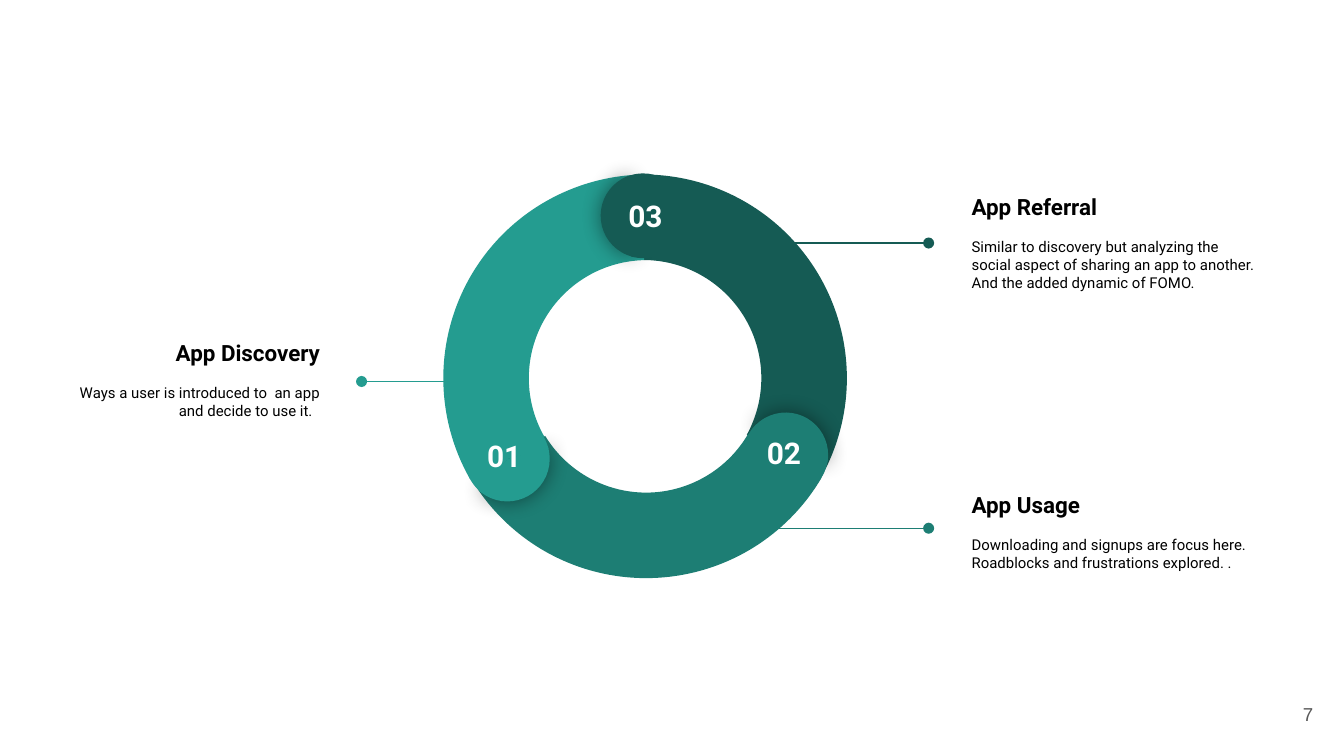
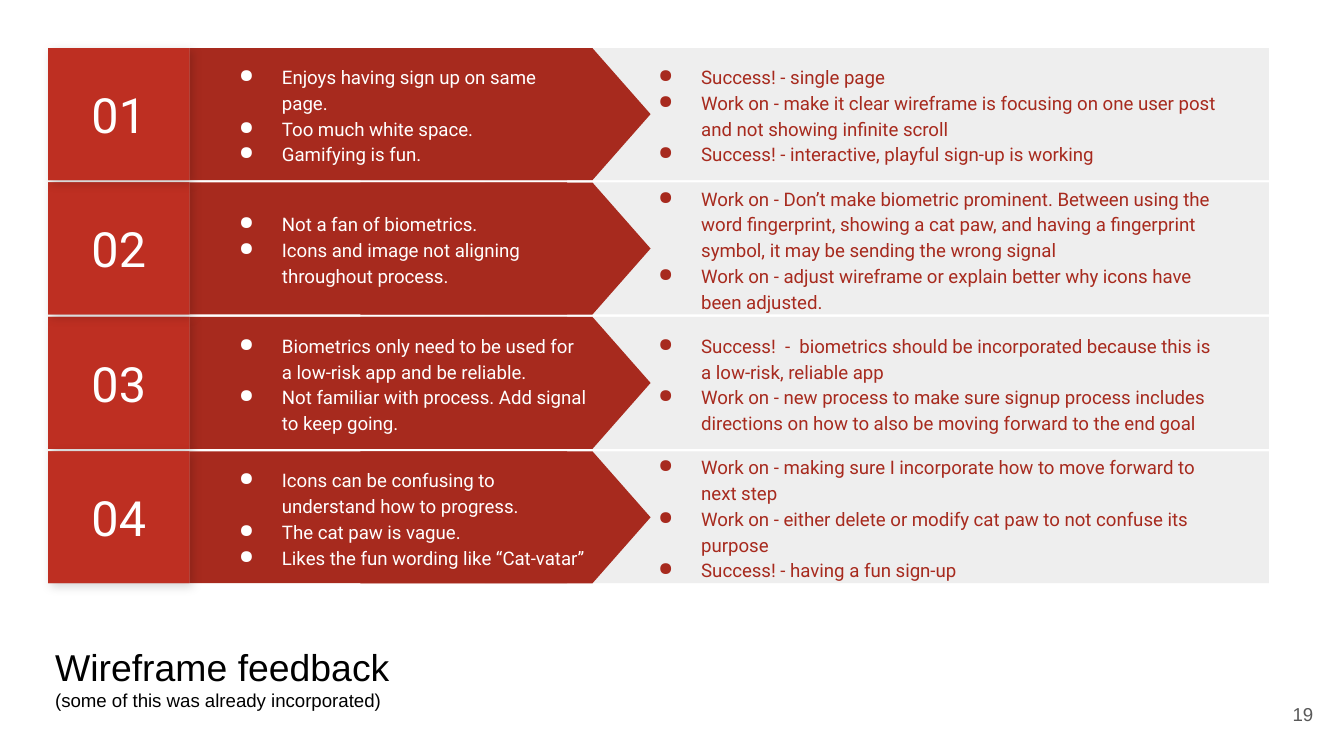
from lxml import etree
from pptx import Presentation
from pptx.dml.color import RGBColor
from pptx.enum.shapes import MSO_CONNECTOR, MSO_SHAPE
from pptx.enum.text import MSO_ANCHOR, MSO_AUTO_SIZE, PP_ALIGN
from pptx.oxml.ns import qn
from pptx.util import Pt

WHITE, BLACK, GREY = "FFFFFF", "000000", "595959"
LIGHT_TEAL, MID_TEAL, DARK_TEAL = "249C90", "1D7E74", "155B54"
RED, DARK_RED, SHADE_RED, PALE = "BE2F22", "A72A1E", "B02C20", "EEEEEE"
LEFT, CENTER, RIGHT = PP_ALIGN.LEFT, PP_ALIGN.CENTER, PP_ALIGN.RIGHT
TOP, MIDDLE = MSO_ANCHOR.TOP, MSO_ANCHOR.MIDDLE
INSET = 7.2

RING_BOX = (235.5, 91.5, 218.2)
CAP_SIZE = 45.4
ARCS = [
    (0, 2, 60, DARK_TEAL),
    (1.5, 0, 180, MID_TEAL),
    (2, 2, 300, LIGHT_TEAL),
]
CAPS = [
    (13.6, 131.7, 240, LIGHT_TEAL),
    (86.3, 1.4, 0, DARK_TEAL),
    (162.7, 129.5, 120, MID_TEAL),
]
STEP_NUMBERS = [("03 ", 92.1, 7.1), ("01 ", 16.5, 136), ("02 ", 166.3, 133.9)]

CALLOUTS = [
    ("App Discovery", "Ways a user is introduced to  an app and decide to use it.  ",
     (23.8, 152.6, 154.8), RIGHT, (244, 193.7, 51.8), LIGHT_TEAL),
    ("App Referral", "Similar to discovery but analyzing the social aspect of sharing "
     "an app to another. And the added dynamic of FOMO.",
     (513.4, 79.2, 167), LEFT, (396, 497.5, 51), DARK_TEAL),
    ("App Usage", "Downloading and signups are focus here. "
     "Roadblocks and frustrations explored. .",
     (513.4, 234, 167), LEFT, (396, 497.5, 49), MID_TEAL),
]

ROW_LEFT, ROW_TOP, ROW_PITCH, ROW_HEIGHT = 25.8, 25.8, 72, 70.7
ROW_DRAW_ORDER = (2, 1, 0, 3)
FEEDBACK = [
    (["Enjoys having sign up on same page.", "Too much white space.", "Gamifying is fun."],
     ["Success! - single page",
      "Work on - make it clear wireframe is focusing on one user post "
      "and not showing infinite scroll",
      "Success! - interactive, playful sign-up is working"]),
    (["Not a fan of biometrics.", "Icons and image not aligning throughout process."],
     ["Work on - Don’t make biometric prominent. Between using the word fingerprint, "
      "showing a cat paw, and having a fingerprint symbol, it may be sending the wrong signal",
      "Work on - adjust wireframe or explain better why icons have been adjusted."]),
    (["Biometrics only need to be used for a low-risk app and be reliable.",
      "Not familiar with process. Add signal to keep going."],
     ["Success!  -  biometrics should be incorporated because this is a low-risk, reliable app",
      "Work on - new process to make sure signup process includes directions "
      "on how to also be moving forward to the end goal"]),
    (["Icons can be confusing to understand how to progress.", "The cat paw is vague.",
      "Likes the fun wording like “Cat-vatar”"],
     ["Work on - making sure I incorporate how to move forward to next step",
      "Work on - either delete or modify cat paw to not confuse its purpose",
      "Success! - having a fun sign-up"]),
]


def rgb(hex_color):
    return RGBColor.from_string(hex_color)


def add_child(parent, tag, **attributes):
    child = etree.SubElement(parent, qn(tag))
    for key, value in attributes.items():
        child.set(key, str(value))
    return child


def add_bullet(paragraph, color):
    properties = paragraph._p.get_or_add_pPr()
    properties.set("marL", str(Pt(36)))
    properties.set("indent", str(Pt(-23)))
    add_child(add_child(properties, "a:buClr"), "a:srgbClr", val=color)
    add_child(properties, "a:buChar", char="●")


def write(shape, lines, anchor=MIDDLE, **shared):
    frame = shape.text_frame
    frame.word_wrap = True
    frame.vertical_anchor = anchor
    frame.margin_left = frame.margin_right = Pt(INSET)
    frame.margin_top = frame.margin_bottom = Pt(INSET)
    for index, line in enumerate(lines):
        text, own = (line, {}) if isinstance(line, str) else line
        style = {"font": "Roboto", "color": BLACK, "align": LEFT, **shared, **own}
        paragraph = frame.paragraphs[0] if index == 0 else frame.add_paragraph()
        paragraph.alignment = style["align"]
        if "spacing" in style:
            paragraph.line_spacing = style["spacing"]
        if "after" in style:
            paragraph.space_after = Pt(style["after"])
        if style.get("bullet"):
            add_bullet(paragraph, style["color"])
        run = paragraph.add_run()
        run.text = text
        run.font.name = style["font"]
        run.font.size = Pt(style["size"])
        run.font.bold = style.get("bold", False)
        run.font.color.rgb = rgb(style["color"])


def add_text(slide, box, lines, **style):
    write(slide.shapes.add_textbox(*map(Pt, box)), lines, **style)


def add_filled(slide, preset, box, color, rotation=0, adjustments=(), shadow=None):
    shape = slide.shapes.add_shape(preset, *map(Pt, box))
    shape.fill.solid()
    shape.fill.fore_color.rgb = rgb(color)
    shape.line.fill.background()
    shape.rotation = rotation
    for index, value in enumerate(adjustments):
        shape.adjustments[index] = value
    shape.shadow.inherit = False
    if shadow:
        opacity, blur, distance, angle = shadow
        effects = shape.element.spPr.find(qn("a:effectLst"))
        outer = add_child(effects, "a:outerShdw", blurRad=Pt(blur), dist=Pt(distance),
                          dir=angle * 60000, algn="bl", rotWithShape=0)
        add_child(add_child(outer, "a:srgbClr", val=BLACK), "a:alpha", val=opacity * 1000)
    return shape


def add_leader(slide, start, end, y, color):
    leader = slide.shapes.add_connector(
        MSO_CONNECTOR.STRAIGHT, Pt(start), Pt(y), Pt(end), Pt(y))
    leader.line.color.rgb = rgb(color)
    leader.line.width = Pt(0.75)
    properties = leader.element.spPr
    add_child(properties.find(qn("a:ln")), "a:tailEnd", type="oval")
    add_child(properties, "a:effectLst")


def add_page_number(slide, number):
    add_text(slide, (667.4, 367.2, 43.2, 31), [number],
             font="Arial", size=10, color=GREY, align=RIGHT)


def add_callout(slide, heading, detail, box, align, leader, color):
    left, top, width = box
    start, end, drop = leader
    add_text(slide, (left, top, width, 101.5),
             [(heading, {"size": 12, "bold": True, "after": 9.4}),
              (detail, {"size": 8, "after": 16})], align=align)
    add_leader(slide, start, end, top + drop, color)


def add_ring(slide, left, top, size):
    for x, y, rotation, color in ARCS:
        add_filled(slide, MSO_SHAPE.BLOCK_ARC, (left + x, top + y, size, size), color,
                   rotation, (126.22, 197.2, 0.21))
    for x, y, rotation, color in CAPS:
        box = (left + x, top + y, CAP_SIZE, CAP_SIZE)
        add_filled(slide, MSO_SHAPE.PIE, box, color, rotation + 0.65, (61.9, 149.96),
                   shadow=(43, 11.2, 0, 0))
        add_filled(slide, MSO_SHAPE.PIE, box, color, (rotation + 180) % 360, (40.28, 171.84))
    for number, x, y in STEP_NUMBERS:
        add_text(slide, (left + x, top + y, 40.3, 20.9), [number], anchor=TOP,
                 size=16, bold=True, color=WHITE, align=CENTER)


def add_feedback_row(slide, left, top, height, number, comments, actions):
    number_box = (left, top, 75.7, height)
    arrow_length, arrow_center = 155.5, left + 245
    add_filled(slide, MSO_SHAPE.RECTANGLE, (left + 234, top, 420, height), PALE)
    add_filled(slide, MSO_SHAPE.RECTANGLE, (left + 75.7, top, 202.3, height), DARK_RED)
    add_filled(slide, MSO_SHAPE.FLOWCHART_OFFPAGE_CONNECTOR,
               (arrow_center - height / 2, top + (height - arrow_length) / 2,
                height, arrow_length), DARK_RED, 270)
    add_filled(slide, MSO_SHAPE.RECTANGLE, number_box, SHADE_RED, shadow=(17, 5.6, 2.2, 45))
    number_tile = add_filled(slide, MSO_SHAPE.RECTANGLE, number_box, RED)
    write(number_tile, [f"{number:02}"], size=26, color=WHITE, align=CENTER)
    bullets = {"size": 10, "spacing": 1.15, "bullet": True}
    add_text(slide, (left + 306.8, top, 326.2, height), actions, color=DARK_RED, **bullets)
    add_text(slide, (left + 82.2, top + 8, 213.1, height - 16), comments,
             color=WHITE, **bullets)


def place_title(slide, box, lines):
    title = slide.shapes.title
    title.left, title.top, title.width, title.height = map(Pt, box)
    write(title, lines, anchor=TOP, font="Arial")
    title.text_frame.auto_size = MSO_AUTO_SIZE.SHAPE_TO_FIT_TEXT


def build_cycle_slide(deck):
    slide = deck.slides.add_slide(deck.slide_layouts[6])
    add_page_number(slide, "7")
    for callout in CALLOUTS:
        add_callout(slide, *callout)
    add_ring(slide, *RING_BOX)


def build_feedback_slide(deck):
    slide = deck.slides.add_slide(deck.slide_layouts[5])
    add_page_number(slide, "19")
    for index in ROW_DRAW_ORDER:
        add_feedback_row(slide, ROW_LEFT, ROW_TOP + index * ROW_PITCH, ROW_HEIGHT,
                         index + 1, *FEEDBACK[index])
    place_title(slide, (22.3, 337.7, 459.4, 51.1),
                [("Wireframe feedback", {"size": 20}),
                 ("(some of this was already incorporated)", {"size": 10})])


def main():
    deck = Presentation()
    deck.slide_width, deck.slide_height = Pt(720), Pt(405)
    build_cycle_slide(deck)
    build_feedback_slide(deck)
    deck.save("out.pptx")


if __name__ == "__main__":
    main()
